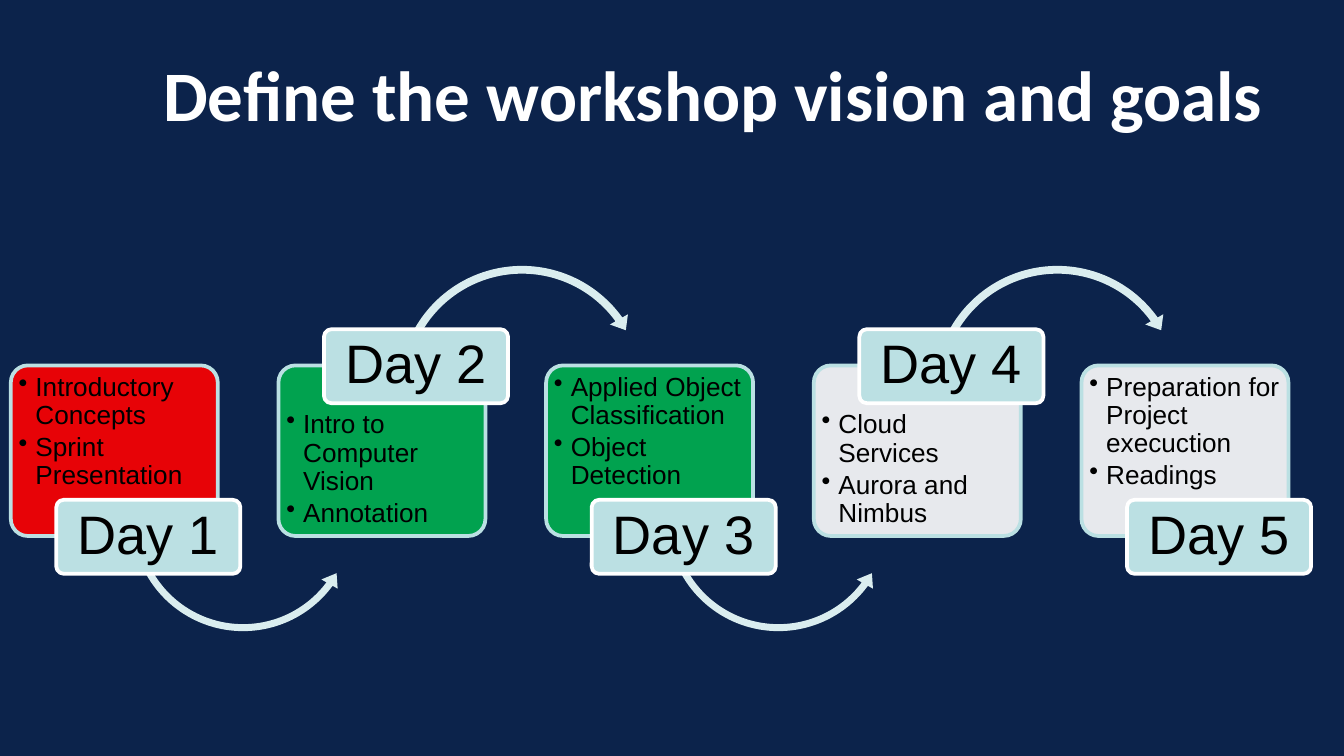
import pptx
import pptx.dml.color
import pptx.enum.shapes
import pptx.enum.text
import pptx.oxml
import pptx.oxml.ns
import pptx.util
from lxml import etree

Pt = pptx.util.Pt
RGBColor = pptx.dml.color.RGBColor
MSO_SHAPE = pptx.enum.shapes.MSO_SHAPE
MSO_ANCHOR = pptx.enum.text.MSO_ANCHOR
PP_ALIGN = pptx.enum.text.PP_ALIGN
qn = pptx.oxml.ns.qn

NAVY = RGBColor(0x0C, 0x23, 0x4B)
WHITE = RGBColor(0xFF, 0xFF, 0xFF)
BLACK = RGBColor(0, 0, 0)
RED = RGBColor(0xFF, 0, 0)
GREEN = RGBColor(0, 0xB0, 0x50)
PALE_BLUE = RGBColor(0xBB, 0xE0, 0xE3)
ARROW_BLUE = RGBColor(0xDA, 0xED, 0xEF)

# Layout in points: one column per day
FIRST_LEFT, PITCH = 5.8, 143.4
CARD_TOP, CARD_WIDTH, CARD_HEIGHT = 195.8, 110.9, 91.4
TAG_OFFSET, TAG_WIDTH, TAG_HEIGHT = 24.4, 98.6, 39.6
TAG_TOP_HIGH, TAG_TOP_LOW = 176.4, 267.8

DAYS = [
    (RED, ["Introductory Concepts", "Sprint Presentation"]),
    (GREEN, ["Intro to Computer Vision", "Annotation"]),
    (GREEN, ["Applied Object Classification", "Object Detection"]),
    (WHITE, ["Cloud Services", "Aurora and Nimbus"]),
    (WHITE, ["Preparation for Project execuction", "Readings"]),
]


def add_filled_shape(slide, kind, box, fill, adjustments, line=None, opacity=None):
    shape = slide.shapes.add_shape(kind, *(Pt(value) for value in box))
    shape.shadow.inherit = False
    for index, value in enumerate(adjustments):
        shape.adjustments[index] = value
    shape.fill.solid()
    shape.fill.fore_color.rgb = fill
    if opacity is not None:
        color = shape.fill._xPr.find(".//" + qn("a:srgbClr"))
        etree.SubElement(color, qn("a:alpha"), val=str(opacity * 1000))
    if line is None:
        shape.line.fill.background()
    else:
        shape.line.color.rgb = line
        shape.line.width = Pt(2)


def add_bullet(paragraph):
    properties = paragraph._p.get_or_add_pPr()
    properties.set("marL", str(Pt(9)))
    properties.set("indent", str(Pt(-9)))
    color = etree.SubElement(properties, qn("a:buClr"))
    etree.SubElement(color, qn("a:srgbClr"), val=str(BLACK))
    etree.SubElement(properties, qn("a:buChar"), char="•")


def add_text(slide, box, lines, size, inset, color=BLACK, font="Arial",
             bold=False, bullets=False, spacing=None, after=0):
    frame = slide.shapes.add_textbox(*(Pt(value) for value in box)).text_frame
    frame.word_wrap = True
    frame.margin_left = frame.margin_right = Pt(inset[0])
    frame.margin_top = frame.margin_bottom = Pt(inset[1])
    frame.vertical_anchor = MSO_ANCHOR.TOP if bullets else MSO_ANCHOR.MIDDLE
    for index, line in enumerate(lines):
        paragraph = frame.add_paragraph() if index else frame.paragraphs[0]
        paragraph.text = line
        if bullets:
            add_bullet(paragraph)
        paragraph.alignment = PP_ALIGN.LEFT if bullets else PP_ALIGN.CENTER
        if spacing:
            paragraph.line_spacing = spacing
        paragraph.space_after = Pt(after)
        paragraph.font.name = font
        paragraph.font.size = Pt(size)
        paragraph.font.bold = bold
        paragraph.font.color.rgb = color


def add_card(slide, left, fill, topics, tag_is_high):
    add_filled_shape(slide, MSO_SHAPE.ROUNDED_RECTANGLE,
                     (left, CARD_TOP, CARD_WIDTH, CARD_HEIGHT),
                     fill, [0.1], PALE_BLUE, 90)
    text_top = 218.2 if tag_is_high else 198
    add_text(slide, (left + 2.1, text_top, 106.7, 67.6), topics, 14, (2.1, 2.1),
             bullets=True, spacing=0.9, after=2.1)


def add_curved_arrow(slide, left, tag_is_high):
    if tag_is_high:
        add_filled_shape(slide, MSO_SHAPE.CIRCULAR_ARROW,
                         (left + 61, 139, 139, 139), ARROW_BLUE,
                         [0.03, 3.7, 194.55, 125.76, 0.04])
    else:
        add_filled_shape(slide, MSO_SHAPE.LEFT_CIRCULAR_ARROW,
                         (left + 61.8, 216, 125.3, 125.3), ARROW_BLUE,
                         [0.03, 4.15, 21.91, 90.25, 0.04])


def add_day_tag(slide, left, number, tag_is_high):
    tag_left = left + TAG_OFFSET
    tag_top = TAG_TOP_HIGH if tag_is_high else TAG_TOP_LOW
    add_filled_shape(slide, MSO_SHAPE.ROUNDED_RECTANGLE,
                     (tag_left, tag_top, TAG_WIDTH, TAG_HEIGHT),
                     PALE_BLUE, [0.1], WHITE)
    add_text(slide, (tag_left + 1.2, tag_top + 1.2, TAG_WIDTH - 2.4, TAG_HEIGHT - 2.4),
             [f"Day {number}"], 29, (4.3, 2.9), spacing=0.9)


def main():
    presentation = pptx.Presentation()
    presentation.slide_width = Pt(720)
    presentation.slide_height = Pt(405)
    slide = presentation.slides.add_slide(presentation.slide_layouts[6])
    slide.background.fill.solid()
    slide.background.fill.fore_color.rgb = NAVY

    # Title
    add_text(slide, (69, 27.4, 626.4, 45.4), ["Define the workshop vision and goals"],
             38, (2.9, 2.9), WHITE, "Calibri", bold=True)

    # Five days, with tags alternating below and above the cards
    for index, (fill, topics) in enumerate(DAYS):
        left = FIRST_LEFT + index * PITCH
        tag_is_high = index % 2 == 1
        add_card(slide, left, fill, topics, tag_is_high)
        if index < len(DAYS) - 1:
            add_curved_arrow(slide, left, tag_is_high)
        add_day_tag(slide, left, index + 1, tag_is_high)

    presentation.save("out.pptx")


if __name__ == "__main__":
    main()
